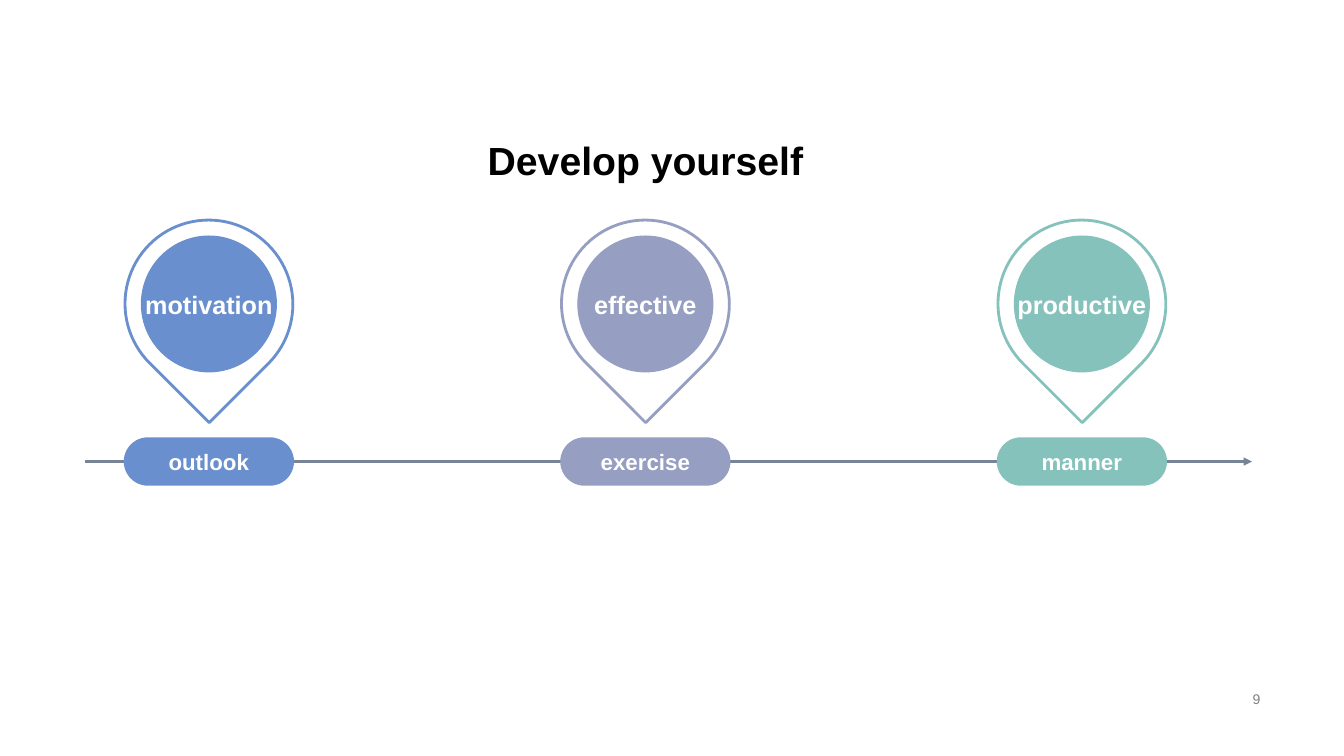
import pptx
import pptx.dml.color
import pptx.enum.shapes
import pptx.enum.text
import pptx.oxml
import pptx.oxml.ns
import pptx.util
from pptx.dml.color import RGBColor
from pptx.enum.shapes import MSO_SHAPE
from pptx.enum.text import MSO_ANCHOR, PP_ALIGN
from pptx.util import Cm

BLACK = RGBColor(0x00, 0x00, 0x00)
WHITE = RGBColor(0xFF, 0xFF, 0xFF)
GRAY = RGBColor(0x80, 0x80, 0x80)
SLATE = RGBColor(0x77, 0x84, 0x95)
BLUE = RGBColor(0x69, 0x8F, 0xCE)
LAVENDER = RGBColor(0x96, 0x9E, 0xC2)
TEAL = RGBColor(0x85, 0xC2, 0xBC)

STATIONS = [
    ("motivation", "outlook", BLUE),
    ("effective", "exercise", LAVENDER),
    ("productive", "manner", TEAL),
]
STATION_PITCH = 11


def write_text(sp, text, size, color, bold=True, align=PP_ALIGN.CENTER,
               anchor=MSO_ANCHOR.MIDDLE, wrap=False):
    tf = sp.text_frame
    tf.word_wrap = wrap
    tf.vertical_anchor = anchor
    p = tf.paragraphs[0]
    p.alignment = align
    r = p.add_run()
    r.text = text
    r.font.name = "Arial"
    r.font.size = pptx.util.Pt(size)
    r.font.bold = bold
    r.font.color.rgb = color
    return p


def add_filled_shape(s, kind, x, y, w, h, fill):
    sp = s.shapes.add_shape(kind, Cm(x), Cm(y), Cm(w), Cm(h))
    sp.shadow.inherit = False
    sp.fill.solid()
    sp.fill.fore_color.rgb = fill
    sp.line.fill.background()
    return sp


def add_title(s, x, y, w, h):
    sp = s.shapes.add_textbox(Cm(x), Cm(y), Cm(w), Cm(h))
    p = write_text(sp, "Develop yourself", 28, BLACK, anchor=MSO_ANCHOR.BOTTOM, wrap=True)
    p.line_spacing = 0.9


def add_page_number(s, x, y, w, h):
    sp = s.shapes.add_textbox(Cm(x), Cm(y), Cm(w), Cm(h))
    write_text(sp, "9", 10, GRAY, bold=False, align=PP_ALIGN.RIGHT, wrap=True)


def add_timeline(s, x, y, w):
    line = s.shapes.add_connector(
        pptx.enum.shapes.MSO_CONNECTOR.STRAIGHT, Cm(x), Cm(y), Cm(x + w), Cm(y))
    line.line.color.rgb = SLATE
    line.line.width = pptx.util.Pt(1.5)
    ln = line.line._get_or_add_ln()
    tail = pptx.oxml.parse_xml(
        f'<a:tailEnd {pptx.oxml.ns.nsdecls("a")} type="triangle"/>')
    ln.append(tail)
    effects = pptx.oxml.parse_xml(f'<a:effectLst {pptx.oxml.ns.nsdecls("a")}/>')
    line._element.spPr.append(effects)


def add_station(s, x, y, w, h, word, label, color):
    pin_w, pin_h = w - 0.07, 4.24
    disc_w, disc_h = 3.43, 3.45
    pill_h = 1.22

    pin = add_filled_shape(s, MSO_SHAPE.TEAR, x + (w - pin_w) / 2, y, pin_w, pin_h, WHITE)
    pin.rotation = 135
    pin.line.color.rgb = color
    pin.line.width = pptx.util.Pt(2)

    disc = add_filled_shape(s, MSO_SHAPE.OVAL, x + (w - disc_w) / 2,
                            y + (pin_h - disc_h) / 2, disc_w, disc_h, color)
    write_text(disc, word, 18, WHITE)

    pill = add_filled_shape(s, MSO_SHAPE.ROUNDED_RECTANGLE, x, y + h - pill_h, w, pill_h, color)
    pill.adjustments[0] = 0.5
    write_text(pill, label, 15.9, WHITE)


def main():
    prs = pptx.Presentation()
    prs.slide_width = Cm(33.87)
    prs.slide_height = Cm(19.05)
    s = prs.slides.add_slide(prs.slide_layouts[6])

    add_title(s, 1.19, 1.93, 30.15, 2.84)
    add_page_number(s, 23.93, 17.32, 8.08, 0.58)
    add_timeline(s, 2.13, 11.63, 29.42)
    for i, (word, label, color) in enumerate(STATIONS):
        add_station(s, 3.12 + i * STATION_PITCH, 5.54, 4.29, 6.7, word, label, color)

    prs.save("out.pptx")


if __name__ == "__main__":
    main()
